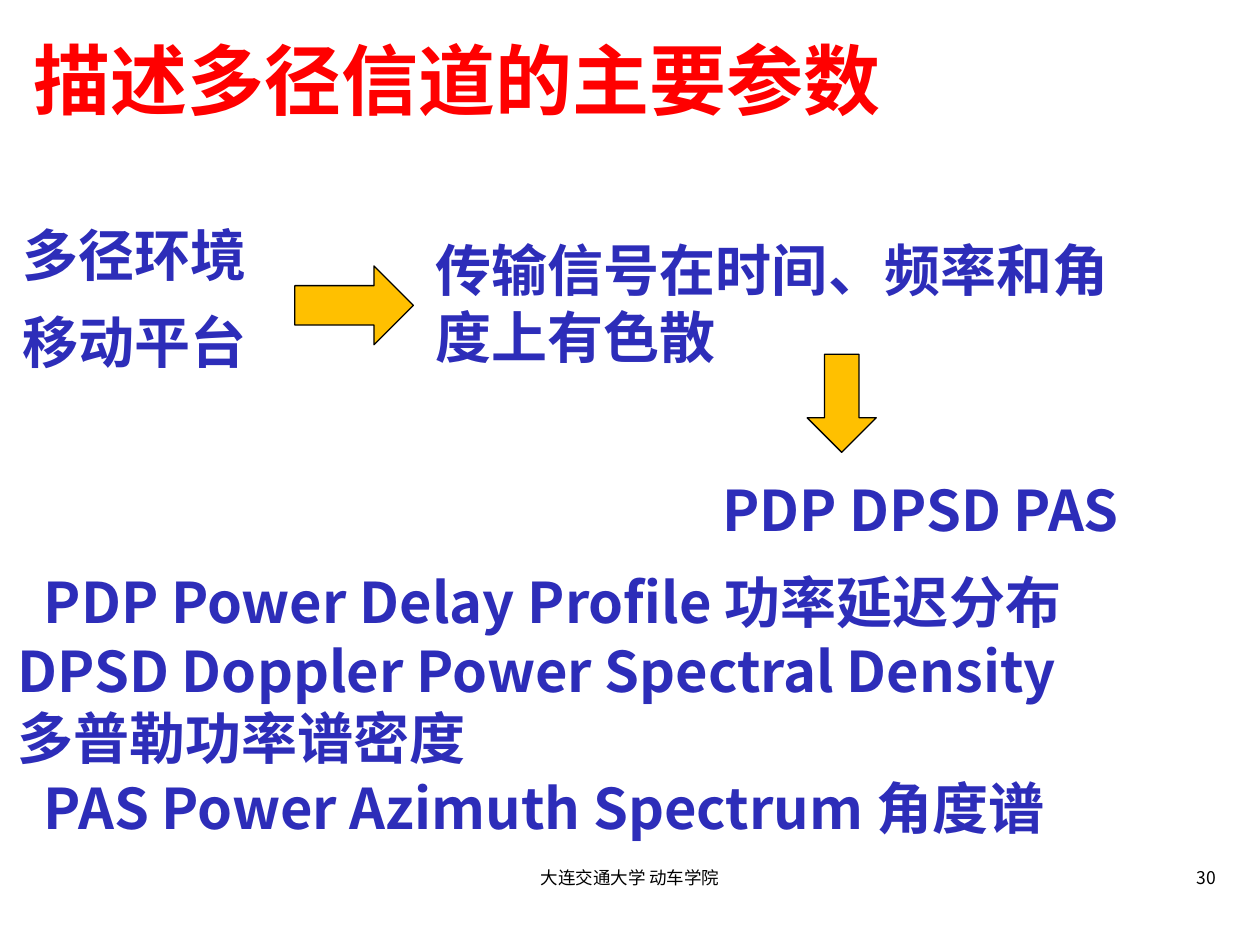
from pptx import Presentation
from pptx.dml.color import RGBColor
from pptx.enum.shapes import MSO_SHAPE as SHAPE
from pptx.enum.text import MSO_ANCHOR as ANCHOR, PP_ALIGN as ALIGN
from pptx.oxml.ns import qn
from pptx.util import Pt

COLORS = {"title": "FF0000", "body": "2D2DB9", "footer": "000000",
          "arrow": "FFC000", "outline": "000000"}
STYLES = {
    "title": {"size": Pt(44), "bold": True, "name": "Noto Sans CJK SC"},
    "body": {"size": Pt(32), "bold": True, "name": "Noto Sans CJK SC"},
    "footer": {"size": Pt(10), "bold": False, "name": "Noto Sans CJK KR"},
}

deck = Presentation()
deck.slide_width, deck.slide_height = Pt(720), Pt(540)
slide = deck.slides.add_slide(deck.slide_layouts[6])


def add_text(lines, box, style="body", anchor=ANCHOR.MIDDLE, align=ALIGN.LEFT):
    frame = slide.shapes.add_textbox(*map(Pt, box)).text_frame
    frame.word_wrap = True
    frame.vertical_anchor = anchor
    frame.text = lines
    for paragraph in frame.paragraphs:
        paragraph.alignment = align
        for run in paragraph.runs:
            for key, value in STYLES[style].items():
                setattr(run.font, key, value)
            run.font.color.rgb = RGBColor.from_string(COLORS[style])
            # Chinese characters take their font from a:ea
            east_asian = run.font._element.makeelement(
                qn("a:ea"), {"typeface": STYLES[style]["name"]})
            run.font._element.find(qn("a:latin")).addnext(east_asian)


add_text("描述多径信道的主要参数", (12.24, 0, 689.76, 90), "title")

# Footer
for words, box, align in [
    ("大连交通大学 动车学院", (246, 492, 228, 36), ALIGN.CENTER),
    ("30", (552, 492, 150, 36), ALIGN.RIGHT),
]:
    add_text(words, box, "footer", ANCHOR.TOP, align)

# Chain from causes to spectra
for words, box in [
    ("多径环境", (6, 124, 163.5, 42)),
    ("移动平台", (6, 174, 163.5, 42)),
    ("传输信号在时间、频率和角度上有色散", (242, 152, 428, 42)),
    ("PDP DPSD PAS", (405.5, 270, 258.5, 42)),
]:
    add_text(words, box)

for kind, box in [
    (SHAPE.RIGHT_ARROW, (168.5, 152, 67.75, 45)),
    (SHAPE.DOWN_ARROW, (461.25, 202.5, 39.5, 56)),
]:
    arrow = slide.shapes.add_shape(kind, *map(Pt, box))
    arrow.shadow.inherit = False
    arrow.fill.solid()
    arrow.fill.fore_color.rgb = RGBColor.from_string(COLORS["arrow"])
    arrow.line.color.rgb = RGBColor.from_string(COLORS["outline"])
    arrow.line.width = Pt(0.75)

# Definitions of the abbreviations
for words, box in [
    ("PDP Power Delay Profile 功率延迟分布", (18, 320.5, 677, 46)),
    ("DPSD Doppler Power Spectral Density\n多普勒功率谱密度", (3, 360, 708.5, 84.5)),
    ("PAS Power Azimuth Spectrum 角度谱", (18, 438.5, 638.5, 46)),
]:
    add_text(words, box, anchor=ANCHOR.TOP)

deck.save("out.pptx")
